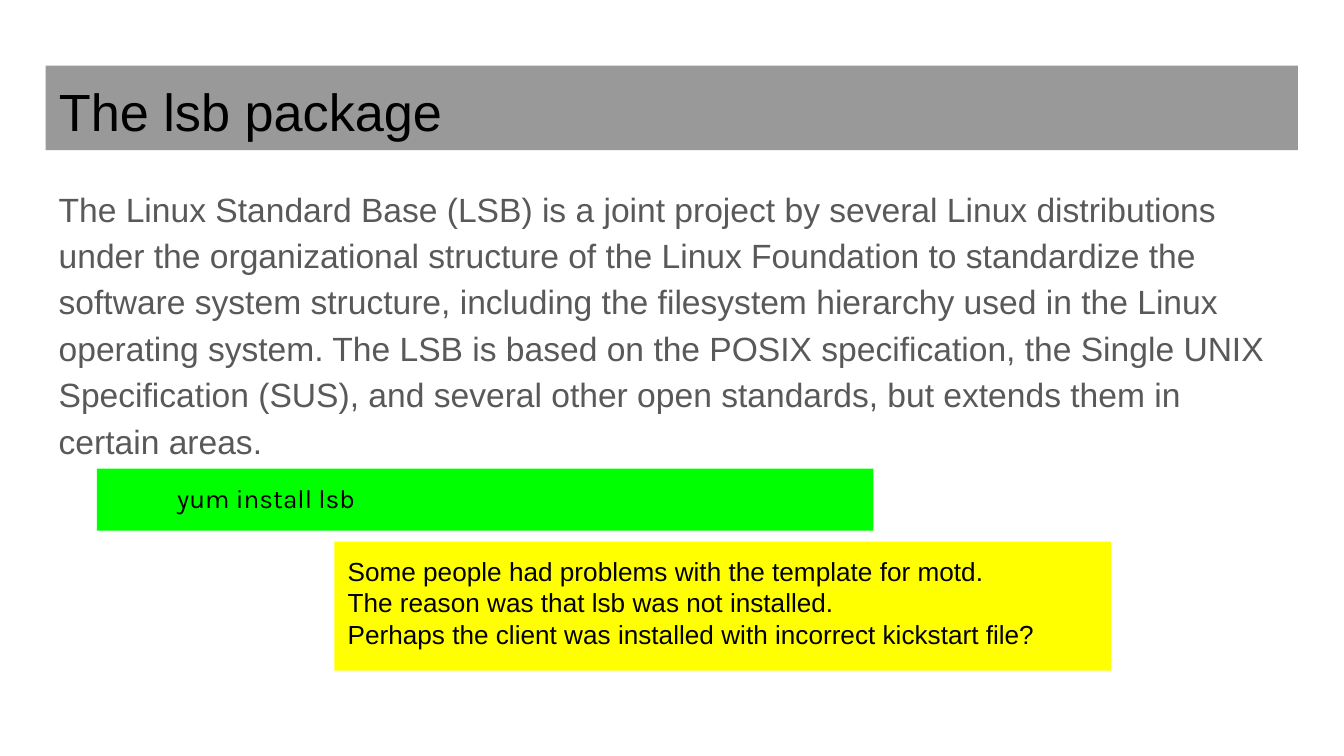
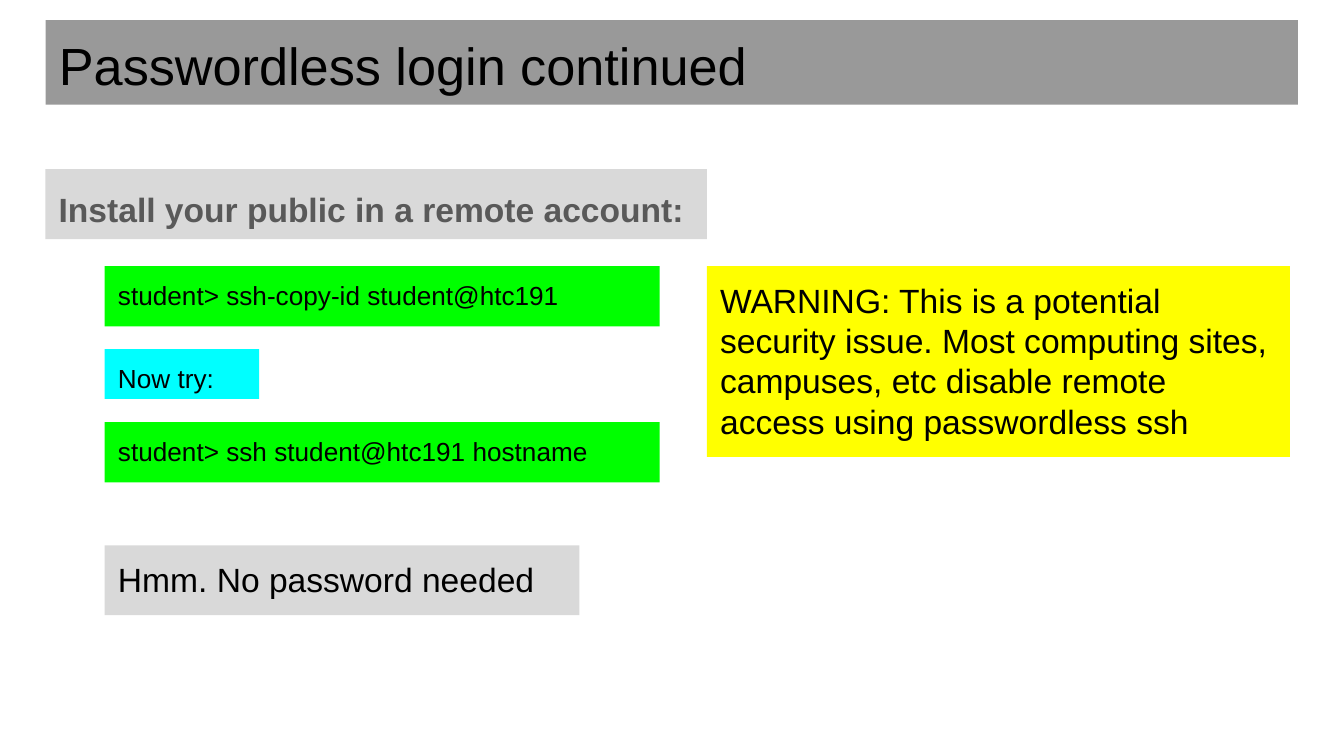
import pptx
import pptx.dml.color
import pptx.enum.shapes
import pptx.enum.text
import pptx.util

Cm = pptx.util.Cm
Pt = pptx.util.Pt
RGB = pptx.dml.color.RGBColor

BLACK = RGB(0x00, 0x00, 0x00)
SLATE = RGB(0x59, 0x59, 0x59)
BAND = RGB(0x99, 0x99, 0x99)
PALE = RGB(0xD9, 0xD9, 0xD9)
GREEN = RGB(0x00, 0xFF, 0x00)
YELLOW = RGB(0xFF, 0xFF, 0x00)
CYAN = RGB(0x00, 0xFF, 0xFF)

EDGE = 0.86   # left edge of title and body
WIDE = 23.67  # width of title and body
TOP = 3.2     # top of body


def write(frame, text, size=14, font="Arial", color=BLACK, bold=False,
          space=1.0, after=0, indent=0):
    """Fill a text frame, one paragraph for each line of text."""
    frame.word_wrap = True
    frame.auto_size = pptx.enum.text.MSO_AUTO_SIZE.NONE
    frame.vertical_anchor = pptx.enum.text.MSO_ANCHOR.TOP
    for side in ("left", "top", "right", "bottom"):
        setattr(frame, "margin_" + side, Cm(0.254))
    for pos, line in enumerate(text.split("\n")):
        para = frame.paragraphs[0] if pos == 0 else frame.add_paragraph()
        para.alignment = pptx.enum.text.PP_ALIGN.LEFT
        para.line_spacing = space
        para.space_after = Pt(after)
        if indent:
            props = para._p.get_or_add_pPr()
            props.set("marL", str(Cm(indent)))
            props.set("indent", "0")
        run = para.add_run()
        run.text = line
        run.font.name = font
        run.font.size = Pt(size)
        run.font.bold = bold
        run.font.color.rgb = color


class Deck:
    def __init__(self):
        self.prs = pptx.Presentation()
        self.prs.slide_width = Cm(25.4)
        self.prs.slide_height = Cm(14.29)
        self.slide = None

    def start(self, title, top):
        """Add a slide with its grey title band."""
        self.slide = self.prs.slides.add_slide(self.prs.slide_layouts[5])
        band = self.slide.shapes.title
        band.left, band.top = Cm(EDGE), Cm(top)
        band.width, band.height = Cm(WIDE), Cm(1.6)
        band.fill.solid()
        band.fill.fore_color.rgb = BAND
        write(band.text_frame, title, size=28)

    def label(self, text, left, top, width, height, **style):
        """Add plain text."""
        box = self.slide.shapes.add_textbox(
            Cm(left), Cm(top), Cm(width), Cm(height))
        write(box.text_frame, text, **style)

    def box(self, text, fill, left, top, width, height, **style):
        """Add text on a filled block."""
        block = self.slide.shapes.add_shape(
            pptx.enum.shapes.MSO_SHAPE.RECTANGLE,
            Cm(left), Cm(top), Cm(width), Cm(height))
        block.shadow.inherit = False
        block.fill.solid()
        block.fill.fore_color.rgb = fill
        block.line.fill.background()
        write(block.text_frame, text, **style)


def main():
    deck = Deck()

    # The lsb package
    deck.start("The lsb package", 1.24)
    deck.label(
        "The Linux Standard Base (LSB) is a joint project by several Linux "
        "distributions under the organizational structure of the Linux "
        "Foundation to standardize the software system structure, including "
        "the filesystem hierarchy used in the Linux operating system. The "
        "LSB is based on the POSIX specification, the Single UNIX "
        "Specification (SUS), and several other open standards, but extends "
        "them in certain areas.",
        EDGE, TOP, WIDE, 5.66, size=18, color=SLATE, space=1.15)
    deck.box("yum install lsb", GREEN, 1.83, 8.86, 14.68, 1.17,
             font="Karla", indent=1.27)
    deck.box("Some people had problems with the template for motd.\n"
             "The reason was that lsb was not installed.\n"
             "Perhaps the client was installed with incorrect kickstart file?",
             YELLOW, 6.32, 10.24, 14.68, 2.44)

    # Passwordless login
    deck.start("Passwordless login continued", 0.38)
    deck.box("Install your public in a remote account:", PALE,
             EDGE, TOP, 12.5, 1.32,
             size=18, color=SLATE, bold=True, space=1.15, after=16)

    # Steps in the left column
    left, first = 1.98, 5.03
    steps = [
        ("student> ssh-copy-id student@htc191", GREEN, first, 10.49, 1.14, 14),
        ("Now try:", CYAN, 6.6, 2.92, 0.94, 14),
        ("student> ssh student@htc191 hostname", GREEN, 7.98, 10.49, 1.14, 14),
        ("Hmm. No password needed", PALE, 10.31, 8.97, 1.32, 18),
    ]
    for text, fill, top, width, height, size in steps:
        deck.box(text, fill, left, top, width, height, size=size)

    # Warning on the right
    deck.box("WARNING: This is a potential security issue. Most computing "
             "sites, campuses, etc disable remote access using passwordless "
             "ssh", YELLOW, EDGE + 12.5, first, 11.02, 3.61, size=18)

    deck.prs.save("out.pptx")


if __name__ == "__main__":
    main()
